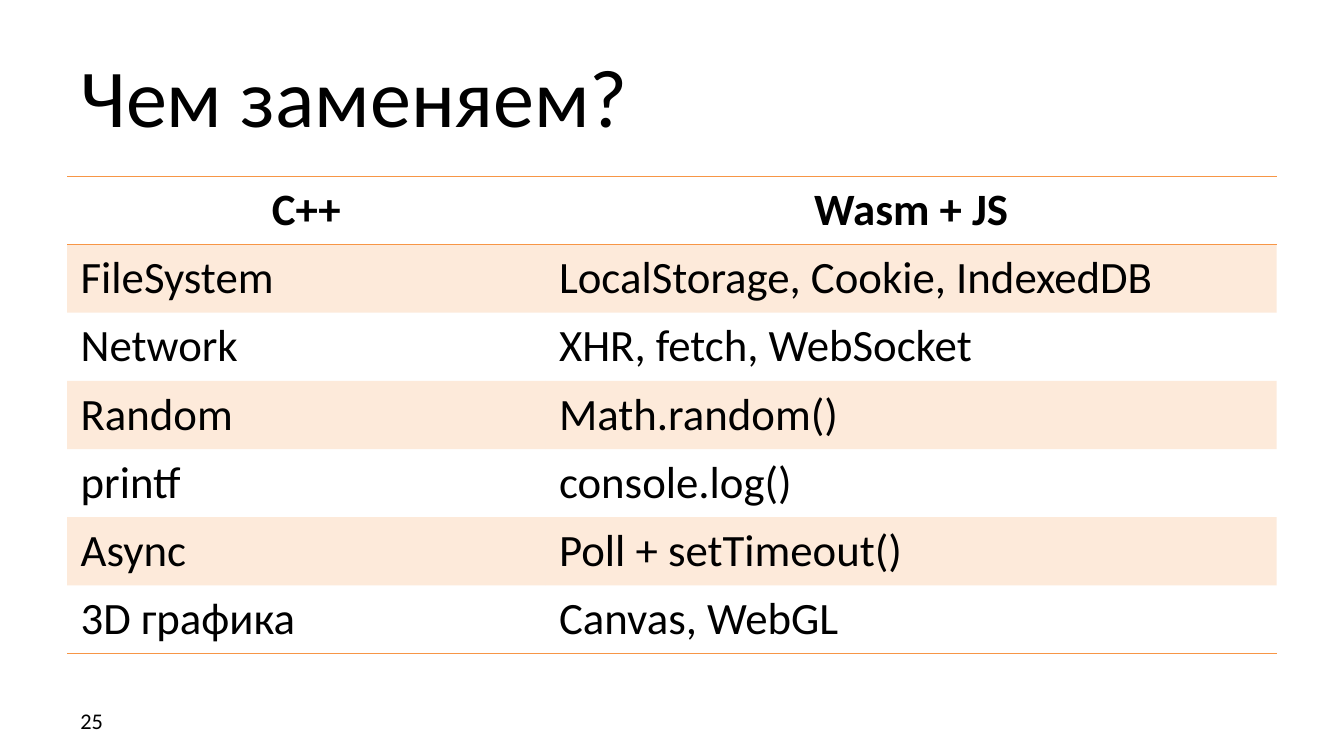
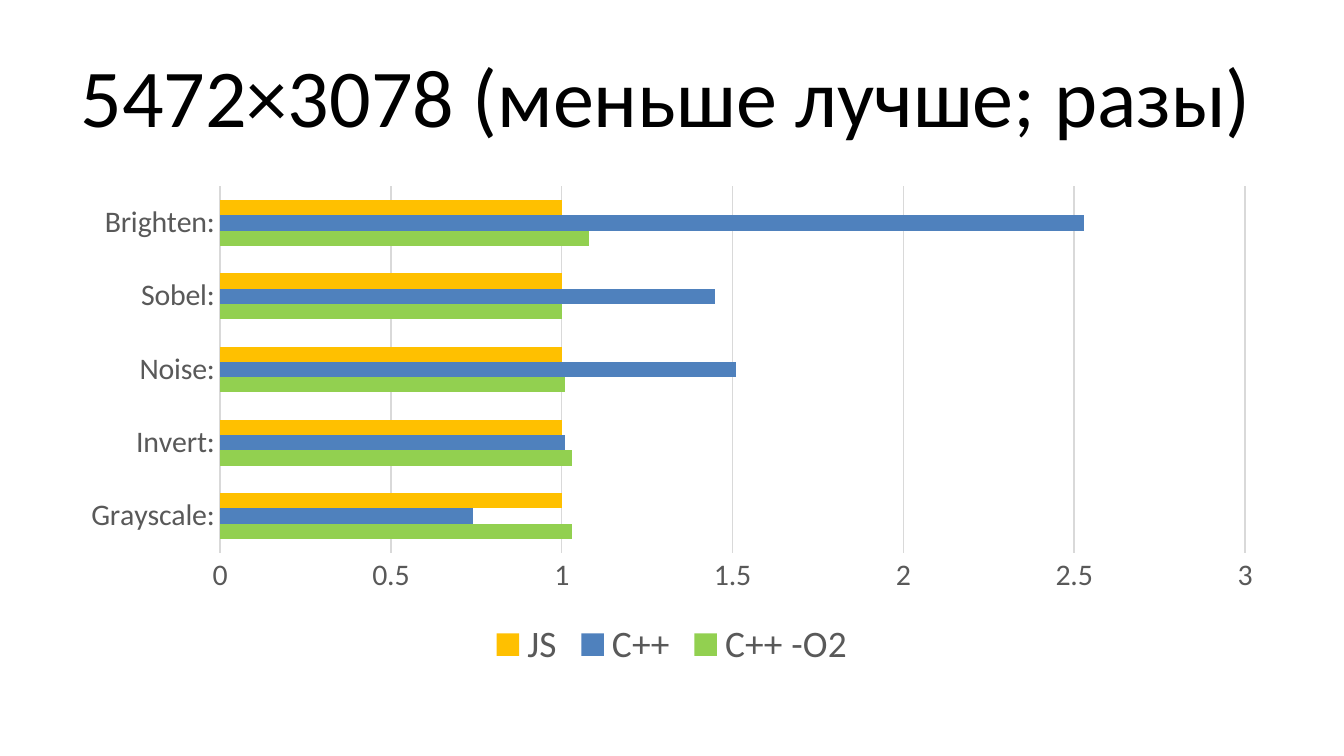
"""Build two slides: a table of replacements and a benchmark bar chart."""
from typing import NamedTuple

from lxml import etree
from pptx import Presentation
from pptx.chart.data import CategoryChartData
from pptx.dml.color import RGBColor
from pptx.enum.chart import XL_CHART_TYPE, XL_LEGEND_POSITION, XL_TICK_MARK
from pptx.enum.text import MSO_ANCHOR, MSO_AUTO_SIZE, PP_ALIGN
from pptx.oxml.ns import qn
from pptx.util import Inches, Length, Pt

BAR_CLUSTERED = XL_CHART_TYPE.BAR_CLUSTERED
LEGEND_BOTTOM = XL_LEGEND_POSITION.BOTTOM
NO_TICK = XL_TICK_MARK.NONE
MIDDLE = MSO_ANCHOR.MIDDLE
NO_AUTOFIT = MSO_AUTO_SIZE.NONE
LEFT, CENTER = PP_ALIGN.LEFT, PP_ALIGN.CENTER

SLIDE_WIDTH, SLIDE_HEIGHT = Inches(10), Inches(5.625)
GRID_COLUMNS, GRID_ROWS = 20, 60
TITLE_ONLY = 5
FONT = "Calibri"
BLACK, GRAY, LIGHT_GRAY = "000000", "595959", "D9D9D9"
ORANGE, GREEN, BLUE, YELLOW = "F79646", "92D050", "4F81BD", "FFC000"
PLAIN_TABLE_STYLE = "{2D5ABB26-0587-4C30-8999-92F81FD0307C}"
BAND_OPACITY = 20


class Box(NamedTuple):
    """A place on the slide in grid columns and rows."""
    column: float
    row: float
    columns: float
    rows: float

    def lengths(self) -> tuple[Length, ...]:
        """Return left, top, width and height."""
        return (across(self.column), down(self.row),
                across(self.columns), down(self.rows))


class Series(NamedTuple):
    """One coloured set of bars."""
    name: str
    color: str
    values: tuple[float, ...]


TITLE_BOX = Box(1, 2.5, 18, 10)
TABLE_BOX = Box(1, 14, 18, 37.8)
CHART_BOX = Box(1, 14, 18, 39.6)
NUMBER_BOX = Box(1, 55.6, 4.66, 3.2)
TABLE_COLUMNS = (7.12, 10.88)

REPLACEMENTS = (
    ("C++", "Wasm + JS"),
    ("FileSystem", "LocalStorage, Cookie, IndexedDB"),
    ("Network", "XHR, fetch, WebSocket"),
    ("Random", "Math.random()"),
    ("printf", "console.log()"),
    ("Async", "Poll + setTimeout()"),
    ("3D графика", "Canvas, WebGL"),
)
FILTERS = ("Grayscale:", "Invert:", "Noise:", "Sobel:", "Brighten:")
BENCHMARKS = (
    Series("С++ -O2", GREEN, (1.03, 1.03, 1.01, 1, 1.08)),
    Series("С++", BLUE, (0.74, 1.01, 1.51, 1.45, 2.53)),
    Series("JS", YELLOW, (1, 1, 1, 1, 1)),
)


def across(columns: float) -> Length:
    """Convert grid columns to a length."""
    return Length(round(SLIDE_WIDTH * columns / GRID_COLUMNS))


def down(rows: float) -> Length:
    """Convert grid rows to a length."""
    return Length(round(SLIDE_HEIGHT * rows / GRID_ROWS))


def paint(target, color: str) -> None:
    """Give a fill a solid colour."""
    target.solid()
    target.fore_color.rgb = RGBColor.from_string(color)


def style_font(font, size: float, color: str, bold: bool = False) -> None:
    """Set the typeface, size, colour and weight of a font."""
    font.name, font.size, font.bold = FONT, Pt(size), bold
    font.color.rgb = RGBColor.from_string(color)


def write(text_frame, text: str, size: float, bold: bool = False,
          alignment=LEFT) -> None:
    """Write one formatted paragraph."""
    text_frame.text = text
    text_frame.word_wrap = True
    paragraph = text_frame.paragraphs[0]
    paragraph.alignment = alignment
    style_font(paragraph.runs[0].font, size, BLACK, bold)


def add_titled_slide(presentation, title: str):
    """Add a slide with the shared title style."""
    slide = presentation.slides.add_slide(presentation.slide_layouts[TITLE_ONLY])
    shape = slide.shapes.title
    shape.left, shape.top, shape.width, shape.height = TITLE_BOX.lengths()
    write(shape.text_frame, title, 44)
    shape.text_frame.auto_size = NO_AUTOFIT
    shape.text_frame.vertical_anchor = MIDDLE
    return slide


def add_page_number(slide, number: str) -> None:
    """Write the page number at the lower left."""
    text_frame = slide.shapes.add_textbox(*NUMBER_BOX.lengths()).text_frame
    write(text_frame, number, 12)
    text_frame.vertical_anchor = MIDDLE


def add_border(cell, edge: str) -> None:
    """Draw a thin orange line on one cell edge, before the cell has a fill."""
    properties = cell._tc.get_or_add_tcPr()
    line = etree.SubElement(properties, qn(f"a:{edge}"), w=str(Pt(1)))
    fill = etree.SubElement(line, qn("a:solidFill"))
    etree.SubElement(fill, qn("a:srgbClr"), val=ORANGE)


def fill_cell(cell, banded: bool) -> None:
    """Give a cell a translucent band or no fill."""
    if not banded:
        cell.fill.background()
        return
    paint(cell.fill, ORANGE)
    color = cell._tc.tcPr.find(".//" + qn("a:solidFill") + "/" + qn("a:srgbClr"))
    etree.SubElement(color, qn("a:alpha"), val=str(BAND_OPACITY * 1000))


def add_replacements(slide) -> None:
    """Add the table of replacements."""
    last = len(REPLACEMENTS) - 1
    table = slide.shapes.add_table(
        len(REPLACEMENTS), len(TABLE_COLUMNS), *TABLE_BOX.lengths()).table
    table._tbl.tblPr.find(qn("a:tableStyleId")).text = PLAIN_TABLE_STYLE
    for column, width in zip(table.columns, TABLE_COLUMNS):
        column.width = across(width)
    for row, texts in enumerate(REPLACEMENTS):
        header = row == 0
        for column, text in enumerate(texts):
            cell = table.cell(row, column)
            write(cell.text_frame, text, 24, header, CENTER if header else LEFT)
            if header:
                add_border(cell, "lnT")
            if row in (0, last):
                add_border(cell, "lnB")
            fill_cell(cell, row % 2 == 1)


def style_axis(axis) -> None:
    """Set labels and tick marks of an axis."""
    axis.major_tick_mark = axis.minor_tick_mark = NO_TICK
    style_font(axis.tick_labels.font, 16, GRAY)


def style_line(line) -> None:
    """Make a line thin and light grey."""
    line.width = Pt(0.75)
    paint(line.fill, LIGHT_GRAY)


def add_benchmarks(slide) -> None:
    """Add the bar chart of relative run times."""
    data = CategoryChartData(number_format="General")
    data.categories = FILTERS
    for series in BENCHMARKS:
        data.add_series(series.name, series.values)
    chart = slide.shapes.add_chart(
        BAR_CLUSTERED, *CHART_BOX.lengths(), data).chart
    style_font(chart.font, 10, BLACK)
    chart.has_title = False
    chart.has_legend = True
    chart.legend.position = LEGEND_BOTTOM
    chart.legend.include_in_layout = False
    style_font(chart.legend.font, 20, GRAY)

    plot = chart.plots[0]
    plot.gap_width, plot.overlap, plot.vary_by_categories = 182, 0, False
    for bars, series in zip(plot.series, BENCHMARKS):
        paint(bars.format.fill, series.color)
        bars.invert_if_negative = False

    style_axis(chart.category_axis)
    style_line(chart.category_axis.format.line)
    values = chart.value_axis
    style_axis(values)
    values.minimum_scale, values.maximum_scale, values.major_unit = 0, 3, 0.5
    values.format.line.fill.background()
    values.has_major_gridlines = True
    style_line(values.major_gridlines.format.line)


def main() -> None:
    """Build and save the presentation."""
    presentation = Presentation()
    presentation.slide_width = SLIDE_WIDTH
    presentation.slide_height = SLIDE_HEIGHT

    slide = add_titled_slide(presentation, "Чем заменяем?")
    add_replacements(slide)
    add_page_number(slide, "25")

    slide = add_titled_slide(presentation, "5472×3078 (меньше лучше; разы)")
    add_benchmarks(slide)

    presentation.save("out.pptx")


if __name__ == "__main__":
    main()
